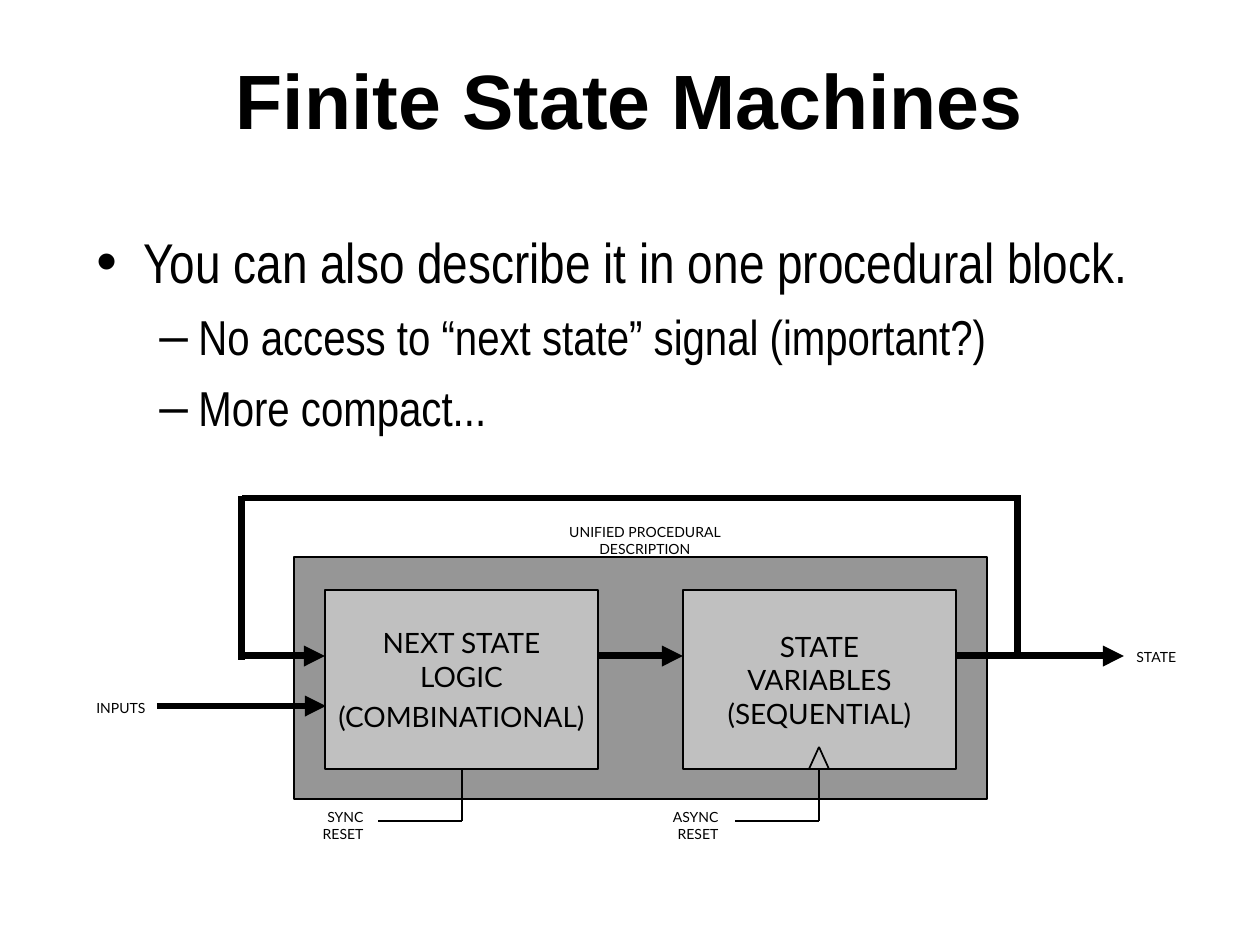
from dataclasses import dataclass

from lxml import etree
from pptx import Presentation
from pptx.dml.color import RGBColor
from pptx.enum.shapes import MSO_CONNECTOR, MSO_SHAPE
from pptx.enum.text import MSO_ANCHOR, PP_ALIGN
from pptx.oxml.ns import qn
from pptx.util import Emu, Pt

LEFT, CENTER, RIGHT = PP_ALIGN.LEFT, PP_ALIGN.CENTER, PP_ALIGN.RIGHT
MIDDLE = MSO_ANCHOR.MIDDLE
RECT = MSO_SHAPE.RECTANGLE
STRAIGHT = MSO_CONNECTOR.STRAIGHT

PX_PER_INCH = 126
COLORS = {"ink": "000000", "frame": "969696", "block": "C0C0C0"}
THIN, THICK = 1, 4


@dataclass
class Box:
    x: int
    y: int
    w: int
    h: int


@dataclass
class Block:
    box: Box
    fill: str
    paragraphs: tuple[str, ...] = ()


@dataclass
class Wire:
    points: tuple[tuple[int, int], ...]
    weight: int = THICK
    arrow: bool = False


@dataclass
class Label:
    text: str
    box: Box
    align: PP_ALIGN


@dataclass
class Bullet:
    text: str
    mark: str
    size: int
    before: int
    margin: int
    hang: int
    level: int


def px(n: int) -> Emu:
    return Emu(round(n * 914400 / PX_PER_INCH))


def place(box: Box) -> tuple[Emu, ...]:
    return px(box.x), px(box.y), px(box.w), px(box.h)


def color(name: str) -> RGBColor:
    return RGBColor.from_string(COLORS[name])


def add_text(p, text: str, font: str, size: int, bold: bool = False) -> None:
    for i, line in enumerate(text.split("\n")):
        if i:
            p.add_line_break()
        r = p.add_run()
        r.text = line
        r.font.name, r.font.size, r.font.bold = font, Pt(size), bold
        r.font.color.rgb = color("ink")


def add_block(s, block: Block) -> None:
    sp = s.shapes.add_shape(RECT, *place(block.box))
    sp.shadow.inherit = False
    sp.fill.solid()
    sp.fill.fore_color.rgb = color(block.fill)
    sp.line.color.rgb = color("ink")
    sp.line.width = Pt(THIN)
    tf = sp.text_frame
    tf.word_wrap = False
    tf.vertical_anchor = MIDDLE
    for i, text in enumerate(block.paragraphs):
        p = tf.add_paragraph() if i else tf.paragraphs[0]
        p.alignment = CENTER
        p.space_before = Pt(4 if i else 0)
        add_text(p, text, "Lato", 16)


def add_wire(s, wire: Wire) -> None:
    for start, end in zip(wire.points, wire.points[1:]):
        sp = s.shapes.add_connector(STRAIGHT, *map(px, start + end))
        sp.line.color.rgb = color("ink")
        sp.line.width = Pt(wire.weight)
        if wire.arrow:
            etree.SubElement(sp.line._get_or_add_ln(), qn("a:tailEnd"), type="triangle")
        etree.SubElement(sp._element.spPr, qn("a:effectLst"))


def add_label(s, label: Label) -> None:
    tf = s.shapes.add_textbox(*place(label.box)).text_frame
    tf.word_wrap = True
    tf.vertical_anchor = MIDDLE
    p = tf.paragraphs[0]
    p.alignment = label.align
    add_text(p, label.text, "Lato", 8)


def add_bullet(p, bullet: Bullet) -> None:
    pPr = p._p.get_or_add_pPr()
    pPr.set("marL", str(px(bullet.margin)))
    pPr.set("indent", str(-px(bullet.hang)))
    clr = etree.SubElement(pPr, qn("a:buClr"))
    etree.SubElement(clr, qn("a:srgbClr"), val=COLORS["ink"])
    etree.SubElement(pPr, qn("a:buSzPct"), val="105000")
    etree.SubElement(pPr, qn("a:buFont"), typeface="Arial")
    etree.SubElement(pPr, qn("a:buChar"), char=bullet.mark)
    p.level = bullet.level
    p.space_before = Pt(bullet.before)
    add_text(p, bullet.text, "Arial Narrow", bullet.size)


BULLETS = [
    Bullet("You can also describe it in one procedural block.", "•", 32, 0, 47, 47, 0),
    Bullet("No access to “next state” signal (important?)", "–", 28, 7, 102, 39, 1),
    Bullet("More compact...", "–", 28, 7, 102, 39, 1),
]

BLOCKS = [
    Block(Box(294, 557, 693, 242), "frame"),
    Block(Box(325, 590, 273, 179), "block", ("NEXT STATE\nLOGIC", "(COMBINATIONAL)")),
    Block(Box(683, 590, 273, 179), "block", ("STATE\nVARIABLES\n(SEQUENTIAL)",)),
]

WIRES = [
    # Clock mark and resets
    Wire(((809, 769), (819, 747), (829, 769)), THIN),
    Wire(((819, 769), (819, 821), (735, 821)), THIN),
    Wire(((462, 769), (462, 821), (378, 821)), THIN),
    # Feedback loop
    Wire(((1021, 498), (242, 498))),
    Wire(((242, 660), (242, 496))),
    Wire(((1018, 659), (1018, 495))),
    # Signal flow
    Wire(((242, 656), (325, 656)), arrow=True),
    Wire(((598, 656), (683, 656)), arrow=True),
    Wire(((956, 656), (1124, 656)), arrow=True),
    Wire(((157, 706), (326, 706)), arrow=True),
]

LABELS = [
    Label("ASYNC RESET", Box(651, 810, 80, 30), RIGHT),
    Label("SYNC RESET", Box(296, 810, 80, 30), RIGHT),
    Label("INPUTS", Box(63, 693, 95, 30), RIGHT),
    Label("STATE", Box(1124, 642, 80, 30), LEFT),
    Label("UNIFIED PROCEDURAL DESCRIPTION", Box(545, 525, 200, 30), CENTER),
]


def main() -> None:
    prs = Presentation()
    prs.slide_width, prs.slide_height = px(1260), px(945)
    s = prs.slides.add_slide(prs.slide_layouts[5])

    # Title
    title = s.shapes.title
    title.left, title.top, title.width, title.height = place(Box(84, 20, 1092, 158))
    tf = title.text_frame
    tf.vertical_anchor = MIDDLE
    p = tf.paragraphs[0]
    p.alignment = CENTER
    add_text(p, "Finite State Machines", "Arial", 44, bold=True)

    # Bullets
    tf = s.shapes.add_textbox(*place(Box(84, 221, 1092, 620))).text_frame
    tf.word_wrap = True
    for i, bullet in enumerate(BULLETS):
        add_bullet(tf.add_paragraph() if i else tf.paragraphs[0], bullet)

    # Diagram
    for block in BLOCKS:
        add_block(s, block)
    for wire in WIRES:
        add_wire(s, wire)
    for label in LABELS:
        add_label(s, label)

    prs.save("out.pptx")


if __name__ == "__main__":
    main()
